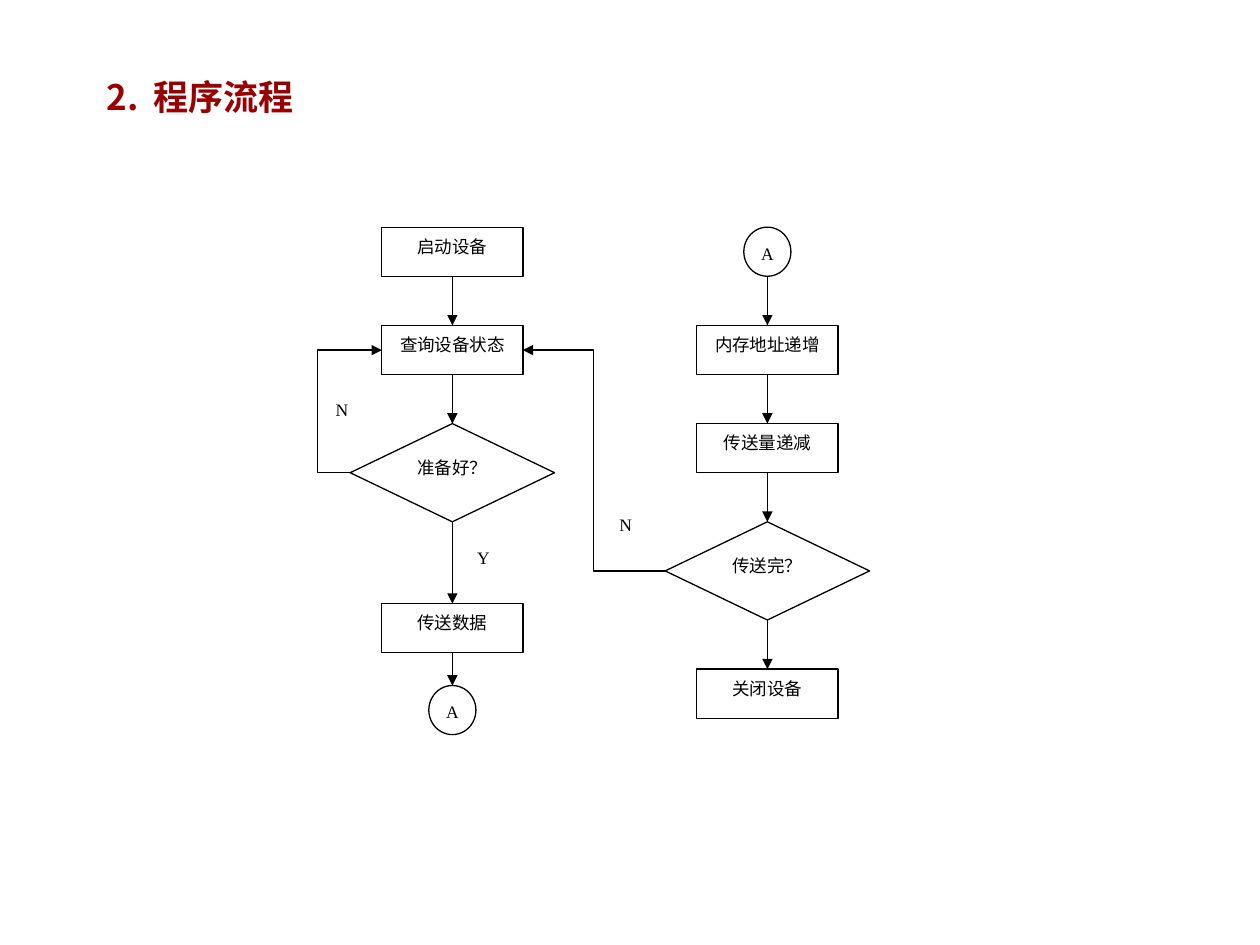
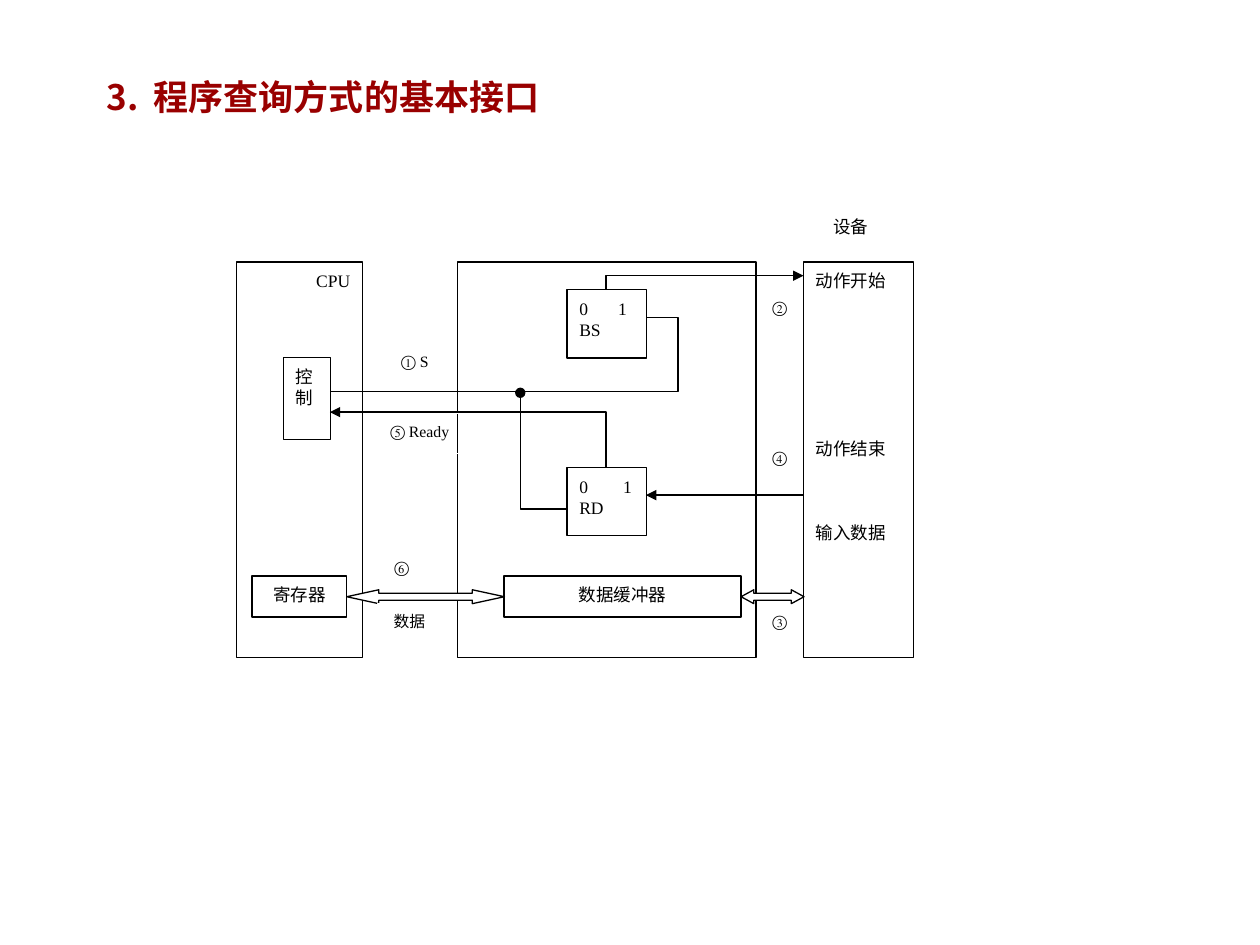
from dataclasses import dataclass

from lxml import etree
from pptx import Presentation
from pptx import util as u
from pptx.dml.color import RGBColor
from pptx.enum import shapes, text
from pptx.oxml.ns import qn

KIND = shapes.MSO_SHAPE
LEFT, CENTER, RIGHT = text.PP_ALIGN.LEFT, text.PP_ALIGN.CENTER, text.PP_ALIGN.RIGHT


@dataclass(frozen=True)
class Theme:
    title: RGBColor = RGBColor(0x99, 0x00, 0x00)
    ink: RGBColor = RGBColor(0x00, 0x00, 0x00)
    paper: RGBColor = RGBColor(0xFF, 0xFF, 0xFF)
    latin: str = "Times New Roman"
    cjk: str = "Noto Sans CJK SC"
    title_size: int = 20
    body_size: int = 10
    label_size: int = 9
    line_width: float = 0.75
    leading: float = 1.2


class Deck:
    """Holds the theme and the slide being drawn; lengths are in centimetres."""

    def __init__(self, theme):
        self.theme = theme
        self.prs = Presentation()
        self.prs.slide_width, self.prs.slide_height = u.Cm(25.4), u.Cm(19.05)
        self.s = None

    def new_slide(self, number, title):
        t = self.theme
        self.s = self.prs.slides.add_slide(self.prs.slide_layouts[6])
        sp = self.s.shapes.add_textbox(*map(u.Cm, (1.9, 1.52, 21.6, 15.42)))
        tf = sp.text_frame
        tf.word_wrap = True
        tf.margin_top = 0
        tf.text = f"{number}.\t{title}"
        pPr = tf.paragraphs[0]._p.get_or_add_pPr()
        pPr.set("marL", str(u.Cm(0.95)))
        pPr.set("indent", str(-u.Cm(0.95)))
        self.format_run(tf.paragraphs[0].runs[0], t.title_size, t.title, t.cjk, True)

    def format_run(self, r, size, color, latin, bold=False):
        r.font.size, r.font.bold, r.font.name = u.Pt(size), bold, latin
        r.font.color.rgb = color
        ea = etree.SubElement(r._r.get_or_add_rPr(), qn("a:ea"))
        ea.set("typeface", self.theme.cjk)

    def fill_text(self, sp, words, size, align, wrap=True, tab=None, gaps=()):
        """Put words in a shape; gaps are blank line heights above later lines."""
        t, tf = self.theme, sp.text_frame
        tf.word_wrap = wrap
        tf.vertical_anchor = text.MSO_ANCHOR.TOP
        tf.margin_left = tf.margin_right = u.Cm(0.25)
        tf.margin_top, tf.margin_bottom = u.Cm(0.17), u.Cm(0.13)
        tf.text = words
        for p in tf.paragraphs:
            p.alignment = align
            p.line_spacing = u.Pt(size * t.leading)
            for r in p.runs:
                self.format_run(r, size, t.ink, t.latin)
        for p, lines in zip(tf.paragraphs[1:], gaps):
            p.space_before = u.Pt(lines * size * t.leading)
        if tab:
            tabs = etree.SubElement(tf.paragraphs[0]._p.get_or_add_pPr(), qn("a:tabLst"))
            etree.SubElement(tabs, qn("a:tab"), pos=str(u.Cm(tab)), algn="l")

    def shape(self, kind, at, words="", align=CENTER, **options):
        t = self.theme
        sp = self.s.shapes.add_shape(kind, *map(u.Cm, at))
        sp.shadow.inherit = False
        sp.fill.solid()
        sp.fill.fore_color.rgb = t.paper
        sp.line.color.rgb = t.ink
        sp.line.width = u.Pt(t.line_width)
        if words:
            self.fill_text(sp, words, t.body_size, align, **options)
        return sp

    def label(self, at, words, size=None, align=CENTER):
        sp = self.shape(KIND.RECTANGLE, at)
        sp.fill.background()
        sp.line.color.rgb = self.theme.paper
        self.fill_text(sp, words, size or self.theme.label_size, align, wrap=at[2] > 1)

    def double_arrow(self, at, head):
        sp = self.shape(KIND.LEFT_RIGHT_ARROW, at)
        sp.adjustments[0], sp.adjustments[1] = 0.5, head

    def connect(self, start, end, via_x=None, tip="triangle"):
        """Straight line, or an elbow whose upright part stands at via_x."""
        kind = shapes.MSO_CONNECTOR.STRAIGHT if via_x is None else shapes.MSO_CONNECTOR.ELBOW
        c = self.s.shapes.add_connector(kind, *map(u.Cm, (*start, *end)))
        c.line.color.rgb = self.theme.ink
        c.line.width = u.Pt(self.theme.line_width)
        spPr = c._element.spPr
        if via_x is not None:
            adj = round((via_x - start[0]) / (end[0] - start[0]) * 100000)
            avLst = spPr.find(qn("a:prstGeom")).find(qn("a:avLst"))
            etree.SubElement(avLst, qn("a:gd"), name="adj1", fmla=f"val {adj}")
        if tip:
            etree.SubElement(spPr.find(qn("a:ln")), qn("a:tailEnd"), type=tip)
        etree.SubElement(spPr, qn("a:effectLst"))

    def flow(self, center_x, steps):
        """Draw a column of steps (kind, top, words) joined by arrows."""
        sizes = {KIND.RECTANGLE: (2.85, 0.99), KIND.FLOWCHART_DECISION: (4.12, 1.98),
                 KIND.OVAL: (0.95, 0.99)}
        bottom = None
        for kind, top, words in steps:
            w, h = sizes[kind]
            self.shape(kind, (center_x - w / 2, top, w, h), words, wrap=kind != KIND.OVAL)
            if bottom is not None:
                self.connect((center_x, bottom), (center_x, top))
            bottom = top + h


def program_flow(deck):
    deck.new_slide(2, "程序流程")
    step, decision, link = KIND.RECTANGLE, KIND.FLOWCHART_DECISION, KIND.OVAL
    rows = [4.58 + 1.98 * i for i in range(4)]

    # Two columns of the flowchart
    deck.flow(9.12, [(step, rows[0], "启动设备"), (step, rows[1], "查询设备状态"),
                     (decision, rows[2], "准备好？"), (step, 12.17, "传送数据"),
                     (link, 13.82, "A")])
    deck.flow(15.47, [(link, rows[0], "A"), (step, rows[1], "内存地址递增"),
                      (step, rows[2], "传送量递减"), (decision, rows[3], "传送完？"),
                      (step, 13.49, "关闭设备")])

    # Loops back to the status query
    deck.connect((7.06, 9.53), (7.7, 7.06), via_x=6.4)
    deck.connect((13.41, 11.51), (10.54, 7.06), via_x=11.96)

    # Branch labels
    for at, words in [((12.14, 10.19, 0.95, 0.99), "N"), ((6.73, 7.87, 0.33, 0.99), "N"),
                      ((9.27, 10.85, 0.95, 0.99), "Y")]:
        deck.label(at, words, deck.theme.body_size)


def query_interface(deck):
    deck.new_slide(3, "程序查询方式的基本接口")
    rect = KIND.RECTANGLE

    # CPU, interface and device
    top, height = 5.28, 7.98
    deck.shape(rect, (4.77, top, 2.54, height), "CPU", RIGHT)
    deck.shape(rect, (9.22, top, 6.02, height))
    deck.shape(rect, (16.2, top, 2.21, height), "动作开始\n动作结束\n输入数据", LEFT, gaps=(7, 3))

    # Registers and flags
    deck.shape(rect, (5.71, 7.21, 0.96, 1.65), "控制", LEFT)
    deck.shape(rect, (5.08, 11.61, 1.91, 0.83), "寄存器")
    deck.shape(rect, (10.16, 11.61, 4.78, 0.83), "数据缓冲器")
    for y, name, tab in [(5.84, "BS", 0.78), (9.42, "RD", 0.88)]:
        deck.shape(rect, (11.43, y, 1.6, 1.38), f"0\t1\n{name}", LEFT, tab=tab)

    # Data paths
    deck.double_arrow((6.99, 11.89, 3.18, 0.28), 2.31)
    deck.double_arrow((14.94, 11.89, 1.27, 0.28), 0.92)

    # Signal labels
    deck.label((7.62, 6.93, 1.27, 0.81), "① S", align=RIGHT)
    deck.label((7.62, 8.33, 1.91, 0.81), "⑤ Ready", align=LEFT)
    deck.label((7.62, 12.17, 1.27, 0.84), "数据")
    for x, y, words in [(7.95, 11.07, "⑥"), (15.57, 12.17, "③"),
                        (15.57, 8.86, "④"), (15.57, 5.84, "②")]:
        deck.label((x, y, 0.3, 0.81), words)
    deck.label((16.2, 4.19, 1.91, 0.81), "设备", deck.theme.body_size)

    # Signal lines
    deck.connect((16.19, 9.98), (13.02, 9.98))
    deck.connect((12.22, 5.84), (16.2, 5.56), via_x=12.22)
    deck.connect((12.22, 9.42), (6.65, 8.31), via_x=12.22)
    deck.connect((13.03, 6.4), (6.65, 7.9), via_x=13.67, tip=None)
    deck.connect((11.45, 10.26), (10.49, 7.92), via_x=10.49, tip="oval")


def main():
    deck = Deck(Theme())
    program_flow(deck)
    query_interface(deck)
    deck.prs.save("out.pptx")


if __name__ == "__main__":
    main()
